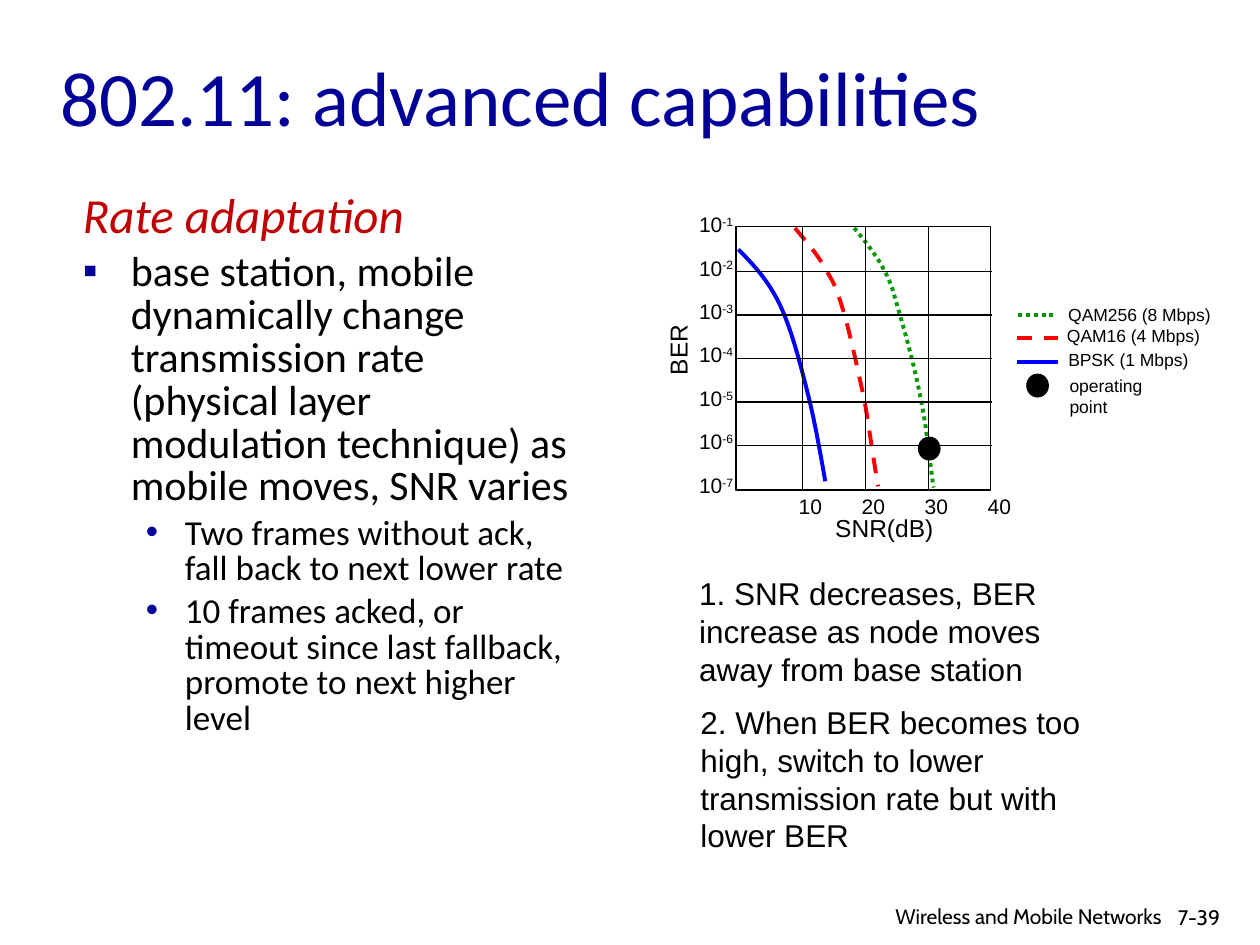
from pptx import Presentation
from pptx.dml.color import RGBColor
from pptx.enum.dml import MSO_LINE
from pptx.enum.shapes import MSO_CONNECTOR, MSO_SHAPE
from pptx.enum.text import MSO_ANCHOR, MSO_AUTO_SIZE, PP_ALIGN
from pptx.oxml.ns import qn
from pptx.util import Inches, Pt
from lxml.etree import SubElement

NAVY = RGBColor(0x00, 0x00, 0x99)
CRIMSON = RGBColor(0xC0, 0x00, 0x00)
BLACK = RGBColor(0x00, 0x00, 0x00)
BLUE = RGBColor(0x00, 0x00, 0xFF)
RED = RGBColor(0xFF, 0x00, 0x00)
GREEN = RGBColor(0x00, 0x99, 0x00)

TITLE = "802.11: advanced capabilities"
# text, size, bullet, left indent, hanging indent
BODY = [
    ("Rate adaptation", 28, None, 0.38, 0.38),
    ("base station, mobile dynamically change transmission rate (physical layer "
     "modulation technique) as mobile moves, SNR varies", 24, "▪", 0.38, 0.38),
    ("Two frames without ack, fall back to next lower rate", 20, "•", 0.81, 0.31),
    ("10 frames acked, or timeout since last fallback, promote to next higher level",
     20, "•", 0.81, 0.31),
]
# label, colour, dash, key (left, right, y), label (left, top, width),
# curve: start, then groups of two control points and an end
SCHEMES = [
    ("QAM256 (8 Mbps)", GREEN, MSO_LINE.ROUND_DOT, (8.08, 8.38, 2.5), (8.38, 2.36, 1.33),
     [(6.78, 1.81), (6.87, 1.92), (6.96, 2.03), (7.02, 2.15),
      (7.08, 2.26), (7.09, 2.32), (7.14, 2.49),
      (7.19, 2.66), (7.27, 2.95), (7.31, 3.18),
      (7.36, 3.41), (7.39, 3.76), (7.41, 3.87)]),
    ("QAM16 (4 Mbps)", RED, MSO_LINE.DASH, (8.07, 8.4, 2.68), (8.37, 2.53, 1.26),
     [(6.31, 1.81), (6.4, 1.92), (6.5, 2.03), (6.56, 2.15),
      (6.63, 2.26), (6.65, 2.32), (6.7, 2.49),
      (6.75, 2.66), (6.81, 2.94), (6.86, 3.17),
      (6.9, 3.4), (6.93, 3.63), (6.97, 3.86)]),
    ("BPSK (1 Mbps)", BLUE, None, (8.07, 8.4, 2.87), (8.38, 2.72, 1.15),
     [(5.86, 1.98), (5.98, 2.1), (6.1, 2.23), (6.19, 2.42),
      (6.28, 2.61), (6.35, 2.88), (6.41, 3.12),
      (6.47, 3.35), (6.53, 3.71), (6.55, 3.82)]),
]
OPERATING_POINTS = [(7.29, 3.47), (8.15, 2.97)]
SNR_TICKS = [10, 20, 30, 40]
BER_EXPONENTS = range(-1, -8, -1)
NOTES = [
    ("1. SNR decreases, BER increase as node moves away from base station",
     (5.45, 4.51, 3.5, 1)),
    ("2. When BER becomes too high, switch to lower transmission rate but with lower BER",
     (5.46, 5.53, 3.5, 1.3)),
]
PLOT_LEFT, PLOT_TOP, PLOT_WIDTH, PLOT_HEIGHT = 5.84, 1.8, 2.02, 2.09
DECADE, FIRST_SNR, SNR_STEP = 0.345, 6.37, 0.5

prs = Presentation()
prs.slide_width, prs.slide_height = Inches(10), Inches(7.5)
slide = prs.slides.add_slide(prs.slide_layouts[6])
shapes = slide.shapes


def style_run(run, size, font, color=BLACK):
    run.font.size, run.font.name = Pt(size), font
    run.font.color.rgb = color


def add_text(text, box, size, font="Arial", color=BLACK, wrap=False):
    label = shapes.add_textbox(*map(Inches, box))
    frame = label.text_frame
    frame.word_wrap = wrap
    if not wrap:
        frame.auto_size = MSO_AUTO_SIZE.SHAPE_TO_FIT_TEXT
    frame.text = text
    style_run(frame.paragraphs[0].runs[0], size, font, color)
    return label


def add_bullet(paragraph, char, color):
    props = paragraph._p.get_or_add_pPr()
    SubElement(SubElement(props, qn("a:buClr")), qn("a:srgbClr")).set("val", str(color))
    SubElement(props, qn("a:buFont")).set("typeface", "Arial")
    SubElement(props, qn("a:buChar")).set("char", char)


def style_line(line, color, width, dash=None):
    line.color.rgb, line.width = color, Pt(width)
    if dash:
        line.dash_style = dash


def add_line(x1, y1, x2, y2, color=BLACK, width=0.75, dash=None):
    connector = shapes.add_connector(MSO_CONNECTOR.STRAIGHT, *map(Inches, (x1, y1, x2, y2)))
    style_line(connector.line, color, width, dash)
    SubElement(connector._element.spPr, qn("a:effectLst"))


def add_curve(points, color, dash):
    """Draw cubic Beziers: each three line segments are merged into one curve."""
    start, *rest = [tuple(map(Inches, point)) for point in points]
    builder = shapes.build_freeform(*start)
    builder.add_line_segments(rest, close=False)
    curve = builder.convert_to_shape()
    segments = list(curve._element.iter(qn("a:lnTo")))
    for i in range(0, len(segments), 3):
        bezier = SubElement(segments[i].getparent(), qn("a:cubicBezTo"))
        for segment in segments[i:i + 3]:
            bezier.append(segment[0])
            segment.getparent().remove(segment)
    curve.shadow.inherit = False
    curve.fill.background()
    style_line(curve.line, color, 2.25, dash)


# Title and body
title = add_text(TITLE, (0.38, 0.3, 8.5, 0.92), 44, "Calibri", NAVY, wrap=True)
title.text_frame.vertical_anchor = MSO_ANCHOR.MIDDLE

body = shapes.add_textbox(*map(Inches, (0.56, 1.49, 4.1, 5.08))).text_frame
body.word_wrap = True
body.text = "\n".join(item[0] for item in BODY)
for paragraph, (_, size, bullet, indent, hanging) in zip(body.paragraphs, BODY):
    paragraph.line_spacing, paragraph.space_before = 0.85, Pt(size * 0.2)
    props = paragraph._p.get_or_add_pPr()
    props.set("marL", str(Inches(indent)))
    props.set("indent", str(-Inches(hanging)))
    run = paragraph.runs[0]
    style_run(run, size, "Calibri", BLACK if bullet else CRIMSON)
    run.font.italic = not bullet
    if bullet:
        add_bullet(paragraph, bullet, NAVY)

# BER over SNR: curves and legend
for label, color, dash, (key_left, key_right, key_y), label_at, curve in SCHEMES:
    add_curve(curve, color, dash)
    add_line(key_left, key_y, key_right, key_y, color, 2.25, dash)
    add_text(label, (*label_at, 0.27), 10)
add_text("operating point", (8.39, 2.93, 1.11, 0.27), 10)

# Plot frame, grid and axes
plot = shapes.add_shape(MSO_SHAPE.RECTANGLE, *map(
    Inches, (PLOT_LEFT, PLOT_TOP, PLOT_WIDTH, PLOT_HEIGHT)))
plot.shadow.inherit = False
plot.fill.background()
style_line(plot.line, BLACK, 0.75)

for row, exponent in enumerate(BER_EXPONENTS):
    y = PLOT_TOP + 0.01 + row * DECADE
    if 0 < row < len(BER_EXPONENTS) - 1:
        add_line(PLOT_LEFT + 0.01, y, PLOT_LEFT + PLOT_WIDTH + 0.01, y)
    tick = add_text("10", (5.45, y - 0.18, 0.48, 0.3), 12)
    power = tick.text_frame.paragraphs[0].add_run()
    power.text = str(exponent)
    style_run(power, 12, "Arial")
    power._r.get_or_add_rPr().set("baseline", "30000")

for column, snr in enumerate(SNR_TICKS):
    x = FIRST_SNR + column * SNR_STEP
    if column < len(SNR_TICKS) - 1:
        add_line(x, PLOT_TOP, x, PLOT_TOP + PLOT_HEIGHT)
    add_text(str(snr), (x - 0.13, 3.87, 0.39, 0.3), 12)

add_text("SNR(dB)", (6.53, 4.02, 0.98, 0.33), 14)
add_text("BER", (5.08, 2.61, 0.6, 0.33), 14).rotation = 270

for left, top in OPERATING_POINTS:
    dot = shapes.add_shape(MSO_SHAPE.OVAL, *map(Inches, (left, top, 0.17, 0.18)))
    dot.shadow.inherit = False
    dot.fill.solid()
    dot.fill.fore_color.rgb = BLACK
    style_line(dot.line, BLACK, 0.75)

# Notes and footer
for note, box in NOTES:
    add_text(note, box, 18, wrap=True)
add_text("7-39", (9.25, 7.13, 0.75, 0.3), 12, "Cabin", wrap=True)
footer = add_text("Wireless and Mobile Networks", (6.4, 7.12, 2.92, 0.28), 12, "Cabin", wrap=True)
footer.text_frame.paragraphs[0].alignment = PP_ALIGN.RIGHT

prs.save("out.pptx")
